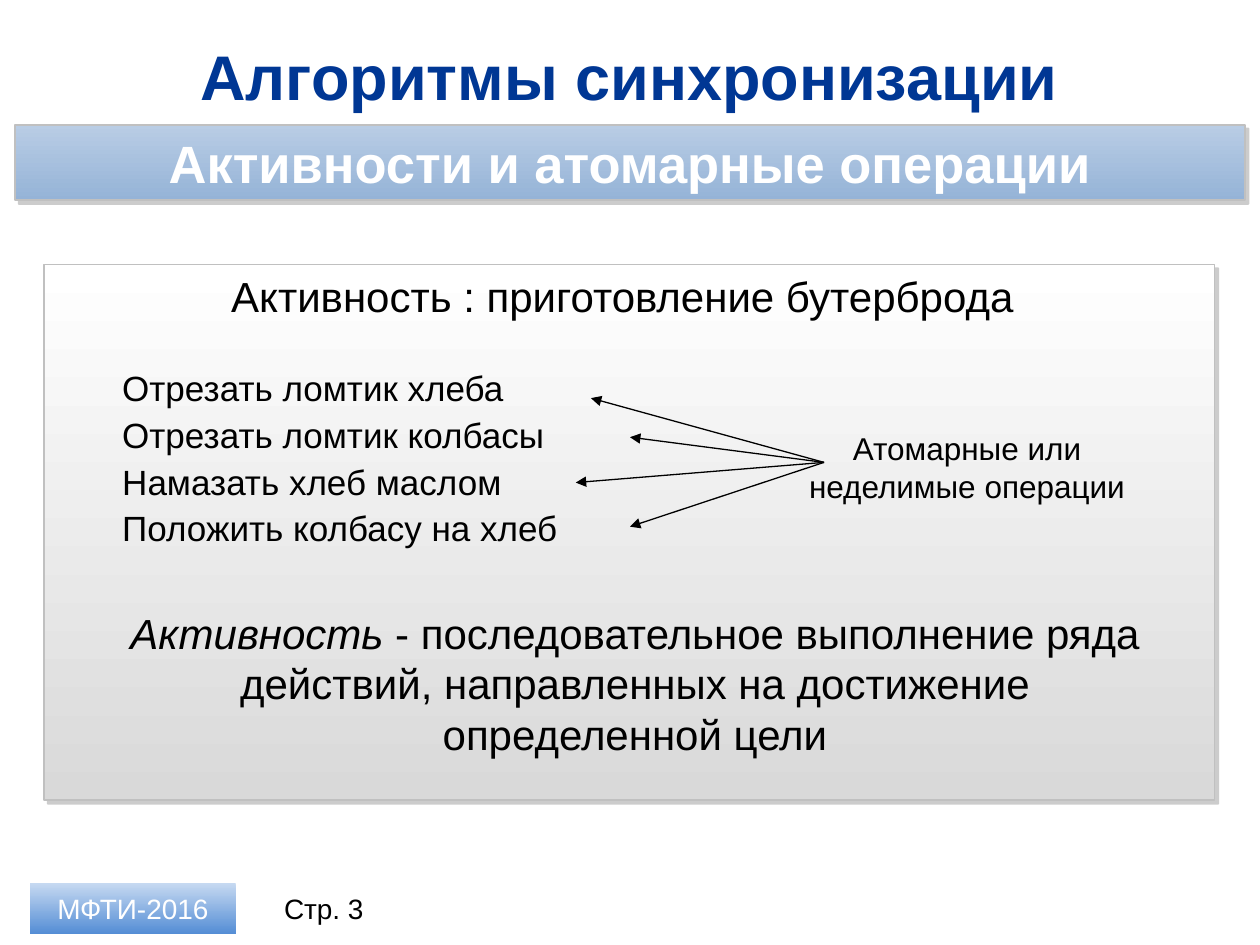
from dataclasses import dataclass

from lxml import etree
from pptx import Presentation
from pptx import util as u
from pptx.dml.color import RGBColor
from pptx.enum import shapes, text
from pptx.oxml.ns import qn

CELL = 0.1


@dataclass(frozen=True)
class Theme:
    """Colours, font and type sizes of the slide."""
    font: str = "Arial"
    heading: str = "003794"
    ink: str = "000000"
    light: str = "FFFFFF"
    border: str = "C0C0C0"
    shadow: str = "808080"
    banner: tuple = ("B9CDE5", "95B3D7")
    panel: tuple = ("FFFFFF", "D9D9D9")
    badge: tuple = ("C6D9F1", "558ED5")
    title_size: int = 36
    banner_size: int = 30
    statement_size: int = 24
    step_size: int = 20
    label_size: int = 18
    footer_size: int = 16


@dataclass(frozen=True)
class Box:
    """A rectangle measured in grid cells."""
    x: float
    y: float
    w: float
    h: float

    def inside(self, x, y, w, h):
        """Return a box offset from this one's corner."""
        return Box(self.x + x, self.y + y, w, h)

    def point(self, x, y):
        """Return a point offset from this box's corner as lengths."""
        return u.Inches((self.x + x) * CELL), u.Inches((self.y + y) * CELL)

    def lengths(self):
        """Return left, top, width and height as lengths."""
        return [u.Inches(n * CELL) for n in (self.x, self.y, self.w, self.h)]


THEME = Theme()
CENTER = text.PP_ALIGN.CENTER
MIDDLE = text.MSO_ANCHOR.MIDDLE


def place(part, box):
    """Move a placeholder into a box."""
    part.left, part.top, part.width, part.height = box.lengths()


def add_run(paragraph, words, size, color=THEME.ink, bold=False, italic=False):
    """Add one formatted run."""
    run = paragraph.add_run()
    run.text = words
    font = run.font
    font.name, font.size = THEME.font, u.Pt(size)
    font.bold, font.italic = bold, italic
    font.color.rgb = RGBColor.from_string(color)


def centered(frame, anchor=MIDDLE):
    """Prepare a wrapping frame and return its centred first paragraph."""
    frame.word_wrap = True
    frame.auto_size = text.MSO_AUTO_SIZE.NONE
    frame.vertical_anchor = anchor
    paragraph = frame.paragraphs[0]
    paragraph.alignment = CENTER
    return paragraph


def add_caption(slide, box, anchor=text.MSO_ANCHOR.TOP):
    """Add a text box and return its centred paragraph."""
    return centered(slide.shapes.add_textbox(*box.lengths()).text_frame, anchor)


def add_plate(slide, box, colors, framed=True):
    """Add a rectangle shaded from top to bottom, framed with a shadow if asked."""
    plate = slide.shapes.add_shape(shapes.MSO_SHAPE.RECTANGLE, *box.lengths())
    plate.shadow.inherit = False
    plate.fill.gradient()
    plate.fill.gradient_angle = 270
    for stop, color in zip(plate.fill.gradient_stops, colors):
        stop.color.rgb = RGBColor.from_string(color)
    if not framed:
        plate.line.fill.background()
        return plate
    plate.line.color.rgb = RGBColor.from_string(THEME.border)
    plate.line.width = u.Pt(1)
    effects = plate._element.spPr.find(qn("a:effectLst"))
    shadow = etree.SubElement(effects, qn("a:outerShdw"), blurRad="0",
                              dist=str(u.Pt(3)), dir="2700000", algn="tl",
                              rotWithShape="0")
    tint = etree.SubElement(shadow, qn("a:srgbClr"), val=THEME.shadow)
    etree.SubElement(tint, qn("a:alpha"), val="40000")
    return plate


def add_arrow(slide, start, tip):
    """Add a thin line with an arrowhead at its tip."""
    arrow = slide.shapes.add_connector(shapes.MSO_CONNECTOR.STRAIGHT, *start, *tip)
    arrow.line.color.rgb = RGBColor.from_string(THEME.ink)
    arrow.line.width = u.Pt(0.75)
    etree.SubElement(arrow.line._get_or_add_ln(), qn("a:tailEnd"), type="triangle")
    etree.SubElement(arrow._element.spPr, qn("a:effectLst"))


def build_header(slide, box):
    """Place the title and the topic banner."""
    title = slide.shapes.title
    place(title, box.inside(2.3, 0, 92.9, 6.8))
    add_run(centered(title.text_frame), "Алгоритмы синхронизации",
            THEME.title_size, THEME.heading, bold=True)
    banner = add_plate(slide, box.inside(0, 7.3, box.w, 6), THEME.banner)
    topic = centered(banner.text_frame)
    add_run(topic, "Активности и атомарные операции",
            THEME.banner_size, THEME.light, bold=True)


def build_steps(slide, box, panel):
    """Place the list of steps in the body placeholder, in front of the panel."""
    body = slide.placeholders[1]
    panel._element.addnext(body._element)
    place(body, box)
    frame = body.text_frame
    frame.auto_size = text.MSO_AUTO_SIZE.NONE
    steps = ("Отрезать ломтик хлеба", "Отрезать ломтик колбасы",
             "Намазать хлеб маслом", "Положить колбасу на хлеб")
    for i, step in enumerate(steps):
        line = frame.add_paragraph() if i else frame.paragraphs[0]
        properties = line._p.get_or_add_pPr()
        properties.set("marL", "0")
        properties.set("indent", "0")
        etree.SubElement(properties, qn("a:buNone"))
        line.line_spacing = 0.9
        line.space_before = u.Pt(5 if i else 0)
        add_run(line, step, THEME.step_size)


def build_example(slide, box):
    """Place the panel with the activity, its steps and the definition."""
    panel = add_plate(slide, box, THEME.panel)
    build_steps(slide, box.inside(5.2, 8, 82.1, 21.5), panel)

    definition = add_caption(slide, box.inside(3.2, 26.7, 87.4, 13.1))
    add_run(definition, "Активность", THEME.statement_size, italic=True)
    add_run(definition, " - последовательное выполнение ряда действий, "
            "направленных на достижение определенной цели", THEME.statement_size)

    activity = add_caption(slide, box.inside(9.1, 0, 73.6, 5))
    add_run(activity, "Активность : приготовление бутерброда", THEME.statement_size)

    label = add_caption(slide, box.inside(55.9, 12.6, 34.7, 7))
    add_run(label, "Атомарные или", THEME.label_size)
    label.add_line_break()
    add_run(label, "неделимые операции", THEME.label_size)

    origin = box.point(61.9, 15.7)
    for tip in ((43.4, 10.6), (46.5, 13.7), (46.5, 20.8), (42.2, 17.3)):
        add_arrow(slide, origin, box.point(*tip))


def build_footer(slide, box):
    """Place the course badge and the page number."""
    badge = add_plate(slide, box.inside(0, 0, 16.3, box.h), THEME.badge, framed=False)
    add_run(centered(badge.text_frame), "МФТИ-2016", THEME.footer_size, THEME.light)
    page = add_caption(slide, box.inside(17.9, 0, 10.8, box.h), MIDDLE)
    add_run(page, "Стр. 3", THEME.footer_size)


def main():
    """Build the slide and save it."""
    deck = Presentation()
    deck.slide_width, deck.slide_height = u.Inches(10), u.Inches(7.5)
    slide = deck.slides.add_slide(deck.slide_layouts[1])
    build_header(slide, Box(1.2, 2.6, 97.6, 13.3))
    build_example(slide, Box(3.5, 21, 92.9, 42.5))
    build_footer(slide, Box(2.4, 70.1, 28.7, 4))
    deck.save("out.pptx")


if __name__ == "__main__":
    main()
